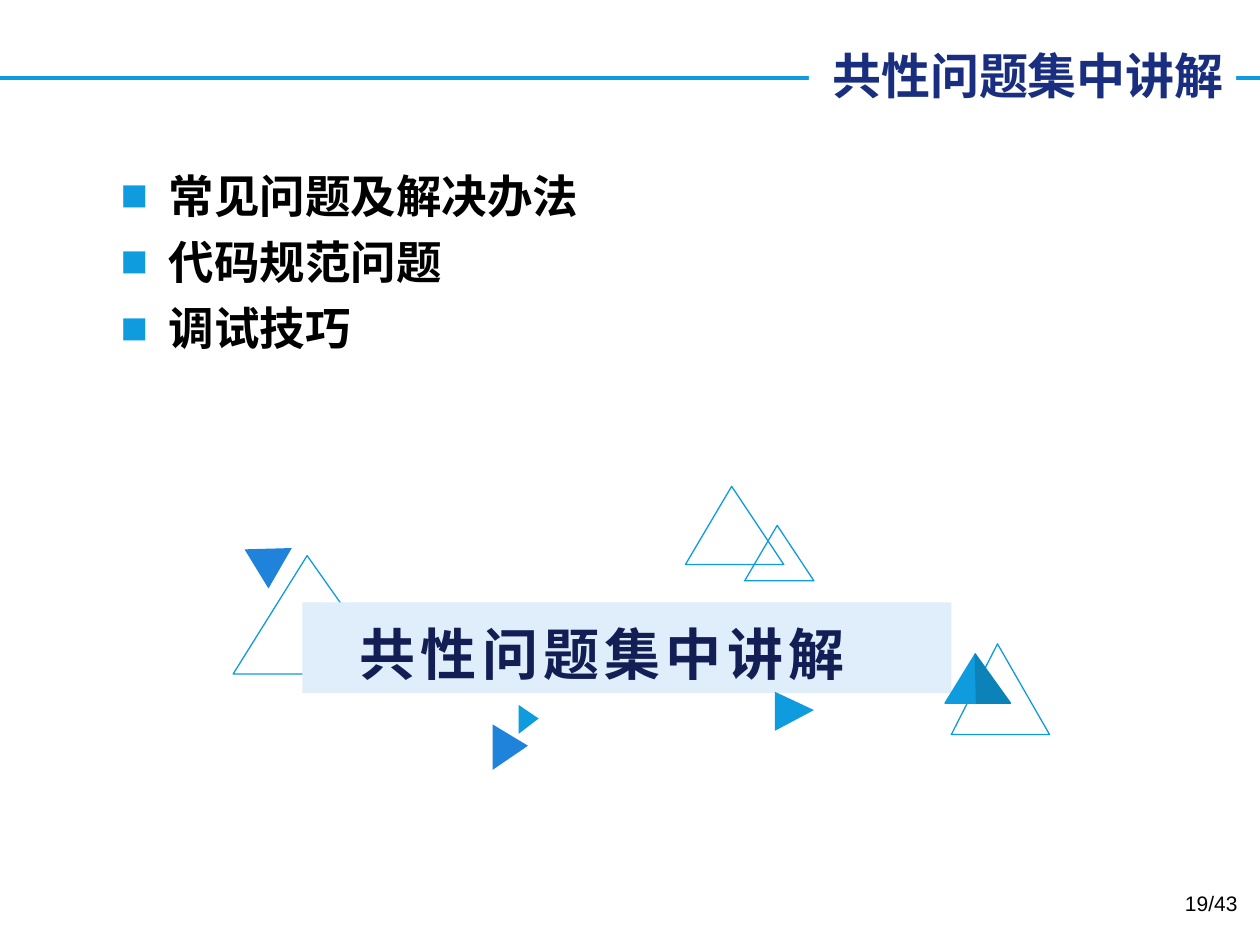
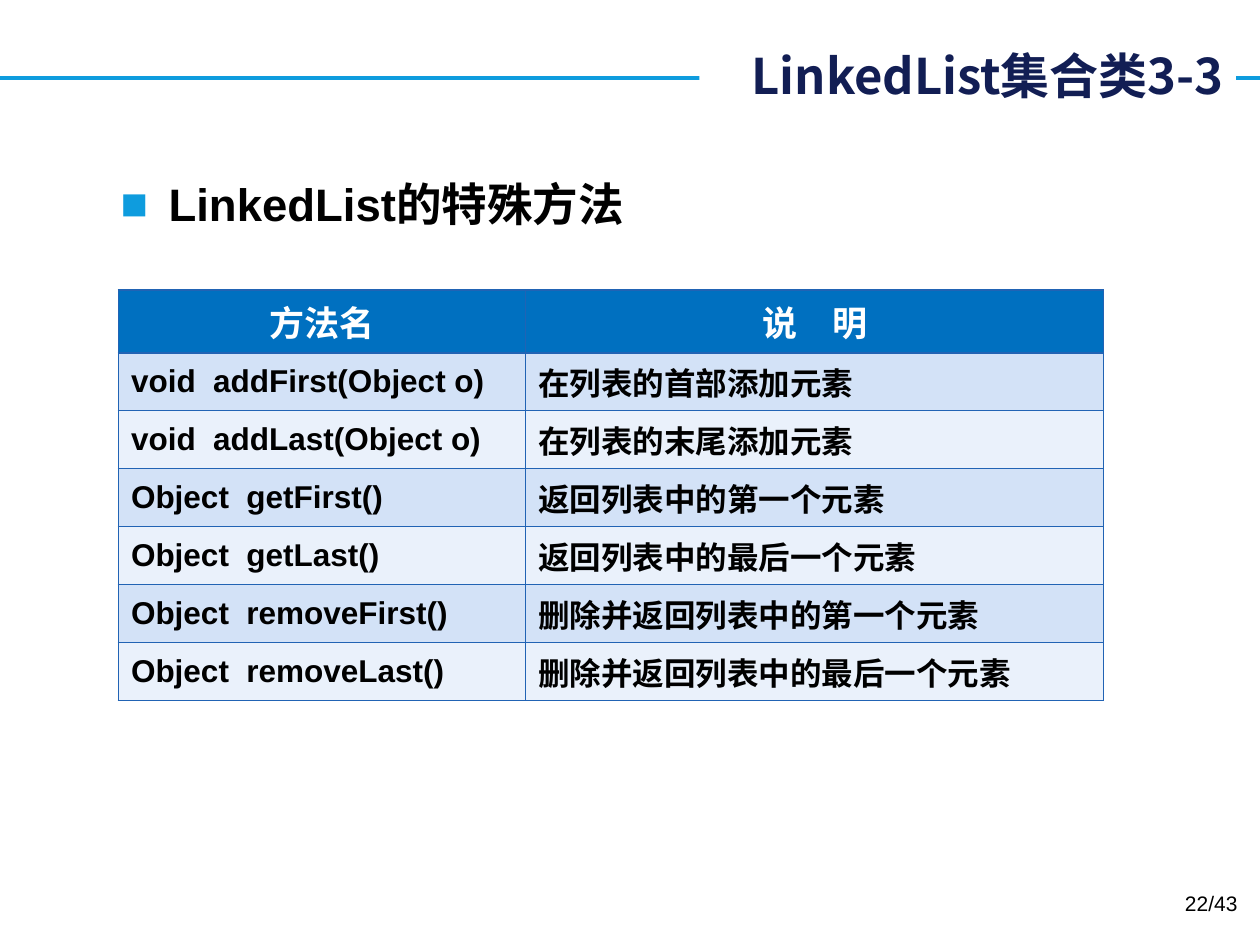
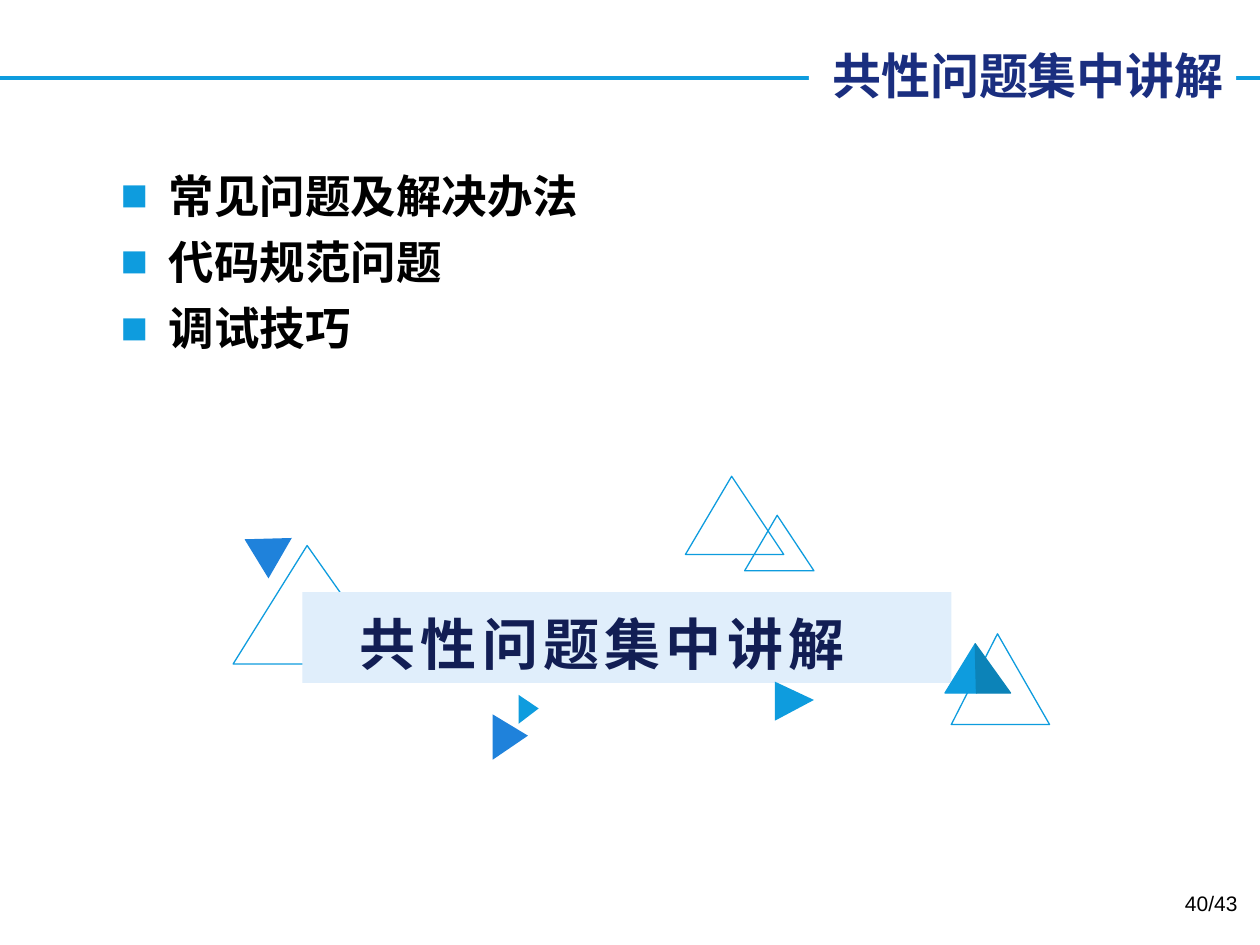
import pptx
import pptx.util
import pptx.dml.color
import pptx.enum.shapes
import pptx.enum.text
import pptx.oxml.ns
import lxml.etree

Inches = pptx.util.Inches
Pt = pptx.util.Pt
RGBColor = pptx.dml.color.RGBColor
MSO_SHAPE = pptx.enum.shapes.MSO_SHAPE
PP_ALIGN = pptx.enum.text.PP_ALIGN
MSO_ANCHOR = pptx.enum.text.MSO_ANCHOR
qn = pptx.oxml.ns.qn

SKY = RGBColor(0x0E, 0x9C, 0xDE)
BLUE = RGBColor(0x1F, 0x82, 0xDB)
TEAL = RGBColor(0x0C, 0x83, 0xB8)
PALE = RGBColor(0xE0, 0xEE, 0xFB)
INDIGO = RGBColor(0x1A, 0x2E, 0x7F)
NAVY = RGBColor(0x12, 0x1E, 0x54)
HEADER = RGBColor(0x00, 0x70, 0xC0)
BAND_DARK = RGBColor(0xD3, 0xE2, 0xF7)
BAND_LIGHT = RGBColor(0xEA, 0xF1, 0xFB)
BORDER = RGBColor(0x21, 0x63, 0xB4)
BLACK = RGBColor(0, 0, 0)
WHITE = RGBColor(0xFF, 0xFF, 0xFF)
CJK = "Noto Sans CJK SC"

TOPIC = "共性问题集中讲解"
TOPIC_POINTS = ["常见问题及解决办法", "代码规范问题", "调试技巧"]
SLIDES = [
    (TOPIC, INDIGO, 6.42, TOPIC_POINTS, 1.33, "19/43"),
    ("LinkedList集合类3-3", NAVY, 5.55, ["LinkedList的特殊方法"], 1.4, "22/43"),
    (TOPIC, INDIGO, 6.42, TOPIC_POINTS, 1.33, "40/43"),
]
BACK_TRIANGLES = [
    (1.85, 4.41, 1.25, 0.94, 0, None),
    (7.55, 5.11, 0.78, 0.72, 0, None),
    (4.08, 5.63, 0.23, 0.16, 90, SKY),
    (1.9, 4.27, 0.37, 0.32, 300, BLUE),
]
FRONT_TRIANGLES = [
    (5.91, 4.17, 0.55, 0.44, 0, None),
    (5.44, 3.86, 0.78, 0.62, 0, None),
    (3.87, 5.79, 0.36, 0.28, 90, BLUE),
    (6.15, 5.49, 0.31, 0.31, 90, SKY),
]
METHODS = [
    ("方法名", "说　明"),
    ("void  addFirst(Object o)", "在列表的首部添加元素"),
    ("void  addLast(Object o)", "在列表的末尾添加元素"),
    ("Object  getFirst()", "返回列表中的第一个元素"),
    ("Object  getLast()", "返回列表中的最后一个元素"),
    ("Object  removeFirst()", "删除并返回列表中的第一个元素"),
    ("Object  removeLast()", "删除并返回列表中的最后一个元素"),
]


def style_text(p, size, color, font="Arial", bold=True, align=PP_ALIGN.LEFT):
    p.alignment = align
    for r in p.runs:
        r.font.size = Pt(size)
        r.font.bold = bold
        r.font.name = font
        r.font.color.rgb = color
        ea = lxml.etree.SubElement(r.font._element, qn("a:ea"))
        ea.set("typeface", CJK)


def paint(sp, fill, line=None):
    sp.shadow.inherit = False
    if fill is None:
        sp.fill.background()
    else:
        sp.fill.solid()
        sp.fill.fore_color.rgb = fill
    if line is None:
        sp.line.fill.background()
    else:
        sp.line.color.rgb = line
        sp.line.width = Pt(0.75)


prs = pptx.Presentation()
prs.slide_width = Inches(10)
prs.slide_height = Inches(7.5)

for title, title_color, title_left, points, body_top, page in SLIDES:
    s = prs.slides.add_slide(prs.slide_layouts[6])

    rule = s.shapes.add_connector(pptx.enum.shapes.MSO_CONNECTOR.STRAIGHT,
                                  0, Inches(0.62), Inches(10), Inches(0.62))
    rule.line.color.rgb = SKY
    rule.line.width = Pt(2.25)
    lxml.etree.SubElement(rule._element.spPr, qn("a:effectLst"))

    sp = s.shapes.add_shape(MSO_SHAPE.RECTANGLE, Inches(title_left), Inches(0.31),
                            Inches(9.81 - title_left), Inches(0.57))
    paint(sp, WHITE)
    tf = sp.text_frame
    tf.word_wrap = False
    tf.vertical_anchor = MSO_ANCHOR.MIDDLE
    tf.text = title
    style_text(tf.paragraphs[0], 28, title_color, CJK, align=PP_ALIGN.RIGHT)

    body = s.shapes.add_textbox(Inches(0.86), Inches(body_top), Inches(8.3), Inches(5.5))
    tf = body.text_frame
    tf.word_wrap = True
    tf.margin_top = 0
    tf.text = "\n".join(points)
    for i, p in enumerate(tf.paragraphs):
        style_text(p, 26, BLACK)
        p.space_before = Pt(6.7 if i else 0)
        pPr = p._p.get_or_add_pPr()
        pPr.set("marL", str(Inches(0.38)))
        pPr.set("indent", str(-Inches(0.38)))
        color = lxml.etree.SubElement(pPr, qn("a:buClr"))
        lxml.etree.SubElement(color, qn("a:srgbClr")).set("val", str(SKY))
        lxml.etree.SubElement(pPr, qn("a:buFont")).set("typeface", "Arial")
        lxml.etree.SubElement(pPr, qn("a:buChar")).set("char", "■")

    if title == TOPIC:
        dy = 0 if page == "19/43" else -0.08
        for triangles in (BACK_TRIANGLES, FRONT_TRIANGLES):
            for x, y, w, h, angle, fill in triangles:
                sp = s.shapes.add_shape(MSO_SHAPE.ISOSCELES_TRIANGLE, Inches(x),
                                        Inches(y + dy), Inches(w), Inches(h))
                sp.adjustments[0] = 0.47
                sp.rotation = angle
                paint(sp, fill, None if fill else SKY)
            if triangles is BACK_TRIANGLES:
                banner = s.shapes.add_shape(MSO_SHAPE.RECTANGLE, Inches(2.4),
                                            Inches(4.78 + dy), Inches(5.15), Inches(0.72))
                paint(banner, PALE)
                tf = banner.text_frame
                tf.word_wrap = True
                tf.vertical_anchor = MSO_ANCHOR.MIDDLE
                tf.margin_top = Inches(0.13)
                tf.margin_right = Inches(0.49)
                tf.text = TOPIC
                p = tf.paragraphs[0]
                style_text(p, 32, NAVY, CJK, align=PP_ALIGN.CENTER)
                p.runs[0].font._element.set("spc", "300")

        for corner, fill in ((7.5, SKY), (8.02, TEAL)):
            base = Inches(5.58 + dy)
            fb = s.shapes.build_freeform(Inches(corner), base)
            fb.add_line_segments([(Inches(7.74), Inches(5.19 + dy)), (Inches(7.75), base)])
            face = fb.convert_to_shape()
            paint(face, fill, SKY if fill == SKY else TEAL)
    else:
        table = s.shapes.add_table(len(METHODS), 2, Inches(0.94), Inches(2.3),
                                   Inches(7.82), Inches(3.26)).table
        table.columns[0].width = Inches(3.23)
        table.columns[1].width = Inches(4.59)
        for i, row in enumerate(METHODS):
            table.rows[i].height = Inches(0.46 if i else 0.5)
            for j, text in enumerate(row):
                cell = table.cell(i, j)
                cell.text = text
                cell.vertical_anchor = MSO_ANCHOR.MIDDLE
                p = cell.text_frame.paragraphs[0]
                tcPr = cell._tc.get_or_add_tcPr()
                for side in ("a:lnL", "a:lnR", "a:lnT", "a:lnB"):
                    ln = lxml.etree.SubElement(tcPr, qn(side), w=str(Pt(1)))
                    fill = lxml.etree.SubElement(ln, qn("a:solidFill"))
                    lxml.etree.SubElement(fill, qn("a:srgbClr")).set("val", str(BORDER))
                cell.fill.solid()
                if i == 0:
                    cell.fill.fore_color.rgb = HEADER
                    style_text(p, 20, WHITE, align=PP_ALIGN.CENTER)
                else:
                    cell.fill.fore_color.rgb = BAND_DARK if i % 2 else BAND_LIGHT
                    style_text(p, 18, BLACK)

    number = s.shapes.add_textbox(Inches(7.59), Inches(7.02), Inches(2.33), Inches(0.4))
    tf = number.text_frame
    tf.word_wrap = True
    tf.text = page
    style_text(tf.paragraphs[0], 12, BLACK, bold=False, align=PP_ALIGN.RIGHT)

prs.save("out.pptx")
